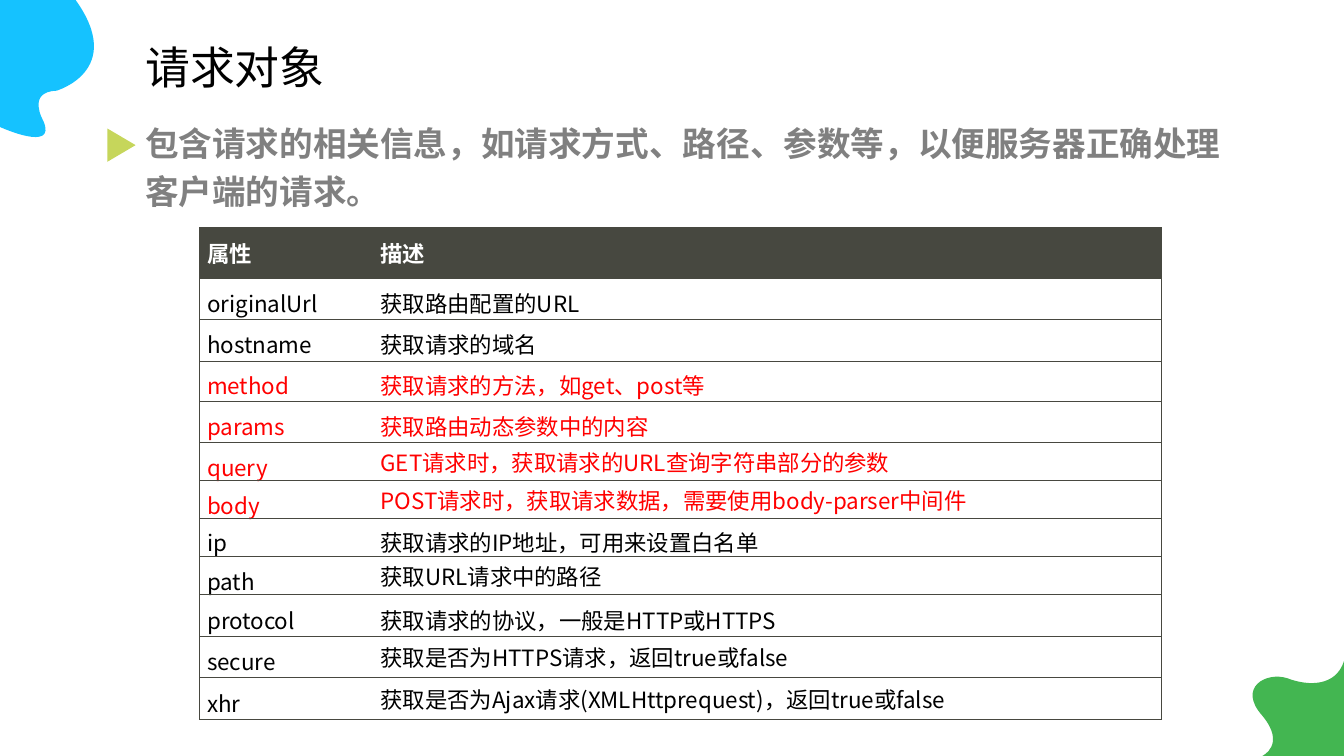
from pptx import Presentation
from pptx.dml.color import RGBColor
from pptx.enum.shapes import MSO_SHAPE
from pptx.enum.text import MSO_ANCHOR, MSO_AUTO_SIZE, PP_ALIGN
from pptx.oxml import parse_xml
from pptx.oxml.ns import nsdecls
from pptx.util import Inches, Pt

TRIANGLE = MSO_SHAPE.ISOSCELES_TRIANGLE
MIDDLE, TOP = MSO_ANCHOR.MIDDLE, MSO_ANCHOR.TOP
FONT = "Noto Sans CJK SC"
DARK, RED, BLACK = "474840", "FF0000", "000000"
NO_STYLE = "{2D5ABB26-0587-4C30-8999-92F81FD0307C}"


def rgb(color):
    return RGBColor.from_string(color)


def style(p, size, color, bold=False, spacing=1.0):
    p.line_spacing = spacing
    for r in p.runs:
        r.font.size, r.font.bold, r.font.name = Pt(size), bold, FONT
        r.font.color.rgb = rgb(color)
        r.font._element.get_or_add_latin().addnext(
            parse_xml(f'<a:ea {nsdecls("a")} typeface="{FONT}"/>'))


prs = Presentation()
prs.slide_width, prs.slide_height = Inches(13.33), Inches(7.5)
s = prs.slides.add_slide(prs.slide_layouts[5])

# Corner blobs in hundredths of an inch: a start point, then
# three points (two controls and an end) for each cubic curve
blobs = [
    ("15C2FF", (0, 126), [
        (0, 126), (57, 152), (43, 120),
        (43, 120), (26, 91), (56, 90),
        (56, 90), (125, 70), (75, 0),
        (0, 0), (0, 0), (0, 0)]),
    ("43B651", (1252, 750), [
        (1252, 750), (1276, 739), (1252, 710),
        (1227, 682), (1256, 666), (1277, 673),
        (1298, 681), (1325, 681), (1333, 656),
        (1333, 750), (1333, 750), (1333, 750)]),
]
for color, start, points in blobs:
    builder = s.shapes.build_freeform(*start, scale=Inches(0.01))
    builder.add_line_segments(points, close=True)
    blob = builder.convert_to_shape()
    blob.shadow.inherit = False
    blob.fill.solid()
    blob.fill.fore_color.rgb = rgb(color)
    blob.line.fill.background()
    # Turn every three line segments into one cubic curve
    segments = list(blob._element.iter("{*}lnTo"))[:len(points)]
    for i in range(0, len(segments), 3):
        curve = parse_xml(f'<a:cubicBezTo {nsdecls("a")}/>')
        segments[i].addprevious(curve)
        for segment in segments[i:i + 3]:
            curve.append(segment[0])
            segment.getparent().remove(segment)

# Title
title = s.shapes.title
title.left, title.top = Inches(1.34), Inches(0.08)
title.width, title.height = Inches(1.98), Inches(0.91)
tf = title.text_frame
tf.text = "请求对象"
tf.word_wrap = False
tf.auto_size = MSO_AUTO_SIZE.SHAPE_TO_FIT_TEXT
tf.vertical_anchor = TOP
tf.margin_left = tf.margin_right = Inches(0.02)
tf.paragraphs[0].alignment = PP_ALIGN.CENTER
style(tf.paragraphs[0], 32, BLACK, spacing=1.5)

# Request property table
rows = [  # property, description, row height, description line spacing
    ("属性", "描述", 0.5, 1),
    ("originalUrl", "获取路由配置的URL", 0.41, 1.25),
    ("hostname", "获取请求的域名", 0.41, 1.25),
    ("method", "获取请求的方法，如get、post等", 0.4, 1.25),
    ("params", "获取路由动态参数中的内容", 0.41, 1.25),
    ("query", "GET请求时，获取请求的URL查询字符串部分的参数", 0.38, 1),
    ("body", "POST请求时，获取请求数据，需要使用body-parser中间件", 0.37, 1),
    ("ip", "获取请求的IP地址，可用来设置白名单", 0.38, 1.25),
    ("path", "获取URL请求中的路径", 0.38, 1),
    ("protocol", "获取请求的协议，一般是HTTP或HTTPS", 0.41, 1.25),
    ("secure", "获取是否为HTTPS请求，返回true或false", 0.41, 1),
    ("xhr", "获取是否为Ajax请求(XMLHttprequest)，返回true或false", 0.42, 1),
]
highlighted = {"method", "params", "query", "body"}
frame = s.shapes.add_table(len(rows), 2, Inches(1.98), Inches(2.26),
                           Inches(9.54), Inches(4.88))
table = frame.table
table._tbl.tblPr.find("{*}tableStyleId").text = NO_STYLE
table.horz_banding = False
for column, width in zip(table.columns, (1.72, 7.82)):
    column.width = Inches(width)
for i, (name, description, height, spacing) in enumerate(rows):
    table.rows[i].height = Inches(height)
    header = i == 0
    color = "FFFFFF" if header else RED if name in highlighted else BLACK
    name_spacing = 1 if header else 1.25
    for j, (text, ls) in enumerate([(name, name_spacing), (description, spacing)]):
        cell = table.cell(i, j)
        cell.text = text
        cell.vertical_anchor = MIDDLE
        cell.margin_left = cell.margin_right = Pt(5.4)
        cell.margin_top = cell.margin_bottom = 0
        style(cell.text_frame.paragraphs[0], 16, color, header, ls)
        if header:
            cell.fill.solid()
            cell.fill.fore_color.rgb = rgb(DARK)
        else:
            cell.fill.background()
        # Borders all round, except between the two columns
        tcPr = cell._tc.get_or_add_tcPr()
        for k, side in enumerate(("L" if j == 0 else "R", "T", "B")):
            tcPr.insert(k, parse_xml(
                f'<a:ln{side} {nsdecls("a")} w="{Pt(0.5)}"><a:solidFill>'
                f'<a:srgbClr val="{DARK}"/></a:solidFill></a:ln{side}>'))

# Summary with its triangle marker
tf = s.shapes.add_textbox(Inches(1.34), Inches(1.09),
                          Inches(11.02), Inches(1.07)).text_frame
tf.text = "包含请求的相关信息，如请求方式、路径、参数等，以便服务器正确处理客户端的请求。"
tf.word_wrap = True
tf.auto_size = MSO_AUTO_SIZE.SHAPE_TO_FIT_TEXT
style(tf.paragraphs[0], 24, "808080", True, 1.2)

marker = s.shapes.add_shape(TRIANGLE, Inches(1.04), Inches(1.3),
                            Inches(0.33), Inches(0.28))
marker.rotation = 90
marker.shadow.inherit = False
marker.fill.solid()
marker.fill.fore_color.rgb = rgb("C6D65B")
marker.line.fill.background()

prs.save("out.pptx")
